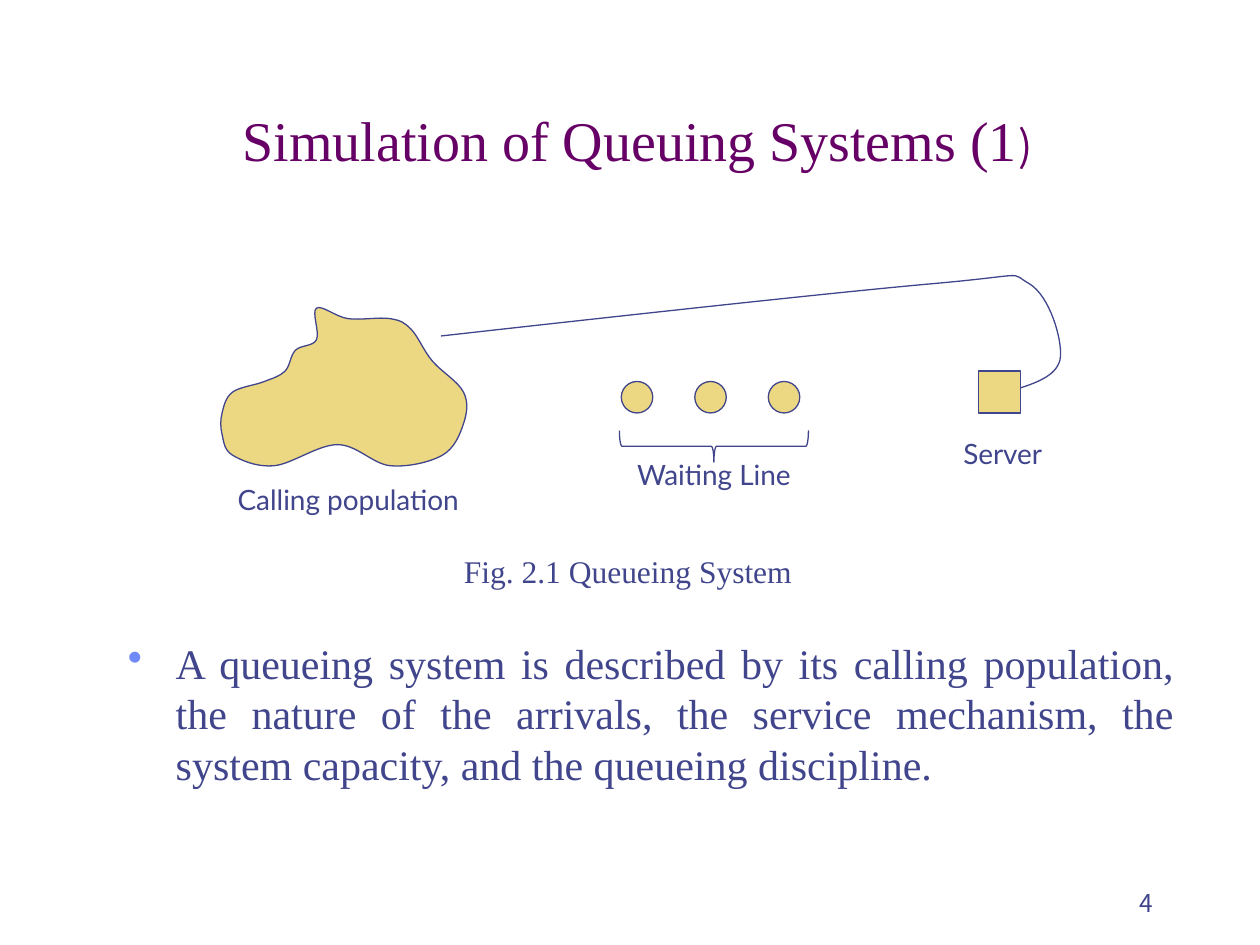
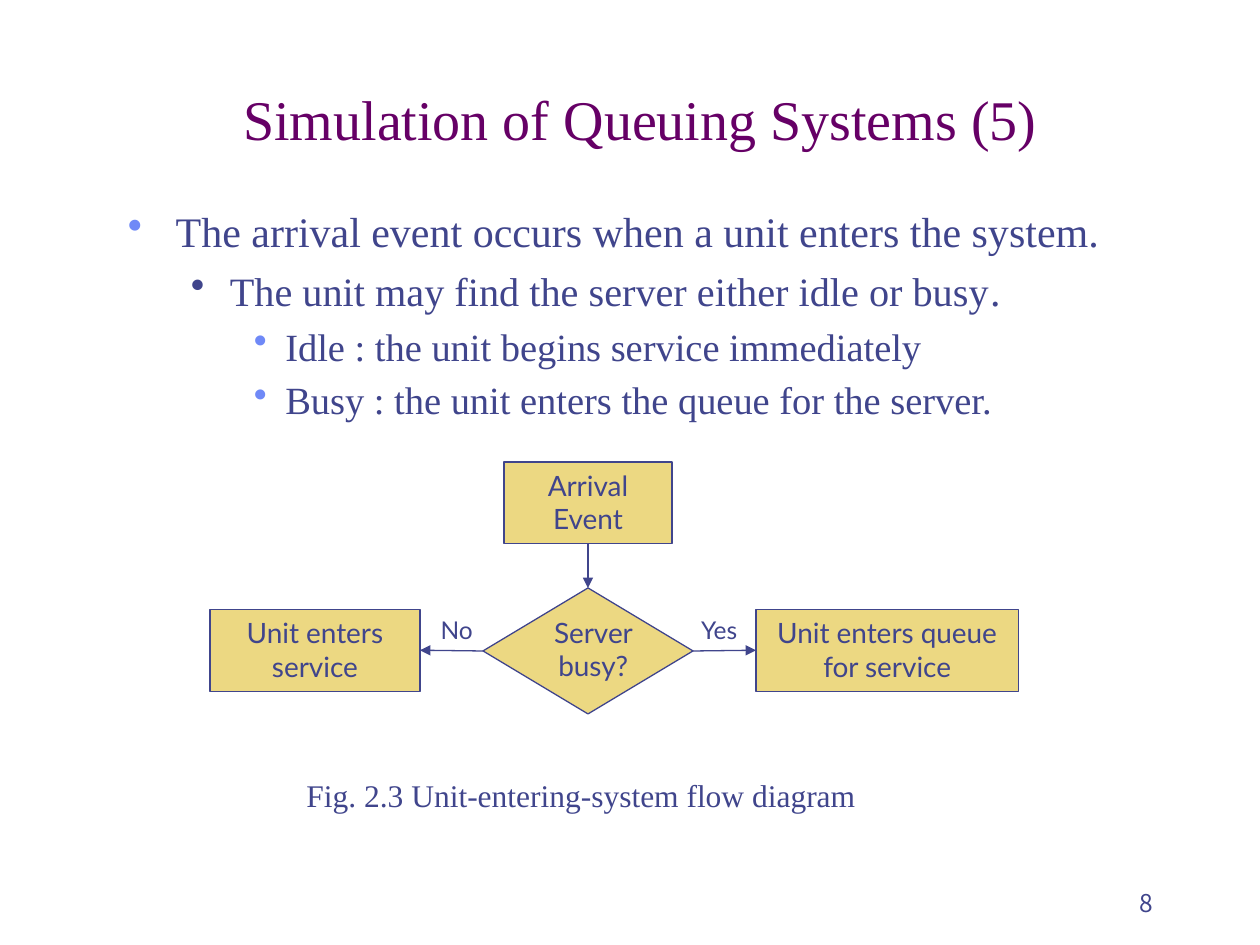
from dataclasses import dataclass
from lxml.etree import SubElement as Sub
from pptx import Presentation
from pptx.dml.color import RGBColor as Rgb
from pptx.enum.shapes import MSO_CONNECTOR as Link, MSO_SHAPE as Form
from pptx.enum.text import MSO_ANCHOR as Anchor, PP_ALIGN as Align
from pptx.oxml.ns import qn
from pptx.util import Inches, Pt


@dataclass(frozen=True)
class Theme:
    ink: str = "40458C"
    sand: str = "ECD882"
    sky: str = "6F89F7"
    line: float = 0.75
    title: tuple = (32, "Times New Roman", "660066")
    tail: tuple = (24, "Noto Sans CJK KR", "660066")
    fig: tuple = (18, "Times New Roman", "40458C")
    label: tuple = (16, "Lato", "40458C")
    small: tuple = (14, "Lato", "40458C")
    page: tuple = (14, "Noto Sans CJK KR", "40458C")
    body: tuple = (
        (24, "Times New Roman", "40458C"),
        (23, "Times New Roman", "40458C"),
        (22, "Times New Roman", "40458C"),
    )


look = Theme()
deck = Presentation()
deck.slide_width, deck.slide_height = Inches(10), Inches(7.5)
unit = deck.slide_width // 120


def paint(shape, fill=True):
    shape.shadow.inherit = False
    if fill:
        shape.fill.solid()
        shape.fill.fore_color.rgb = Rgb.from_string(look.sand)
    else:
        shape.fill.background()
    shape.line.color.rgb = Rgb.from_string(look.ink)
    shape.line.width = Pt(look.line)
    return shape


def put(page, cells, runs=(), form=None, align=Align.CENTER, anchor=Anchor.TOP):
    spot = [round(n * unit) for n in cells]
    if form is None:
        shape = page.shapes.add_textbox(*spot)
    else:
        shape = paint(page.shapes.add_shape(form, *spot))
    frame = shape.text_frame
    frame.word_wrap = True
    frame.vertical_anchor = anchor
    para = frame.paragraphs[0]
    para.alignment = align
    for words, (size, face, tint) in runs:
        run = para.add_run()
        run.text = words
        run.font.size = Pt(size)
        run.font.name = face
        run.font.color.rgb = Rgb.from_string(tint)
    return shape


plans = [
    {
        "title": [("Simulation of Queuing Systems (1", look.title), (")", look.tail)],
        "head": (15.7, 9, 90, 8),
        "body": (11, 60.1, 102, 18.8),
        "align": Align.JUSTIFY,
        "items": [
            (0, [("A queueing system is described by its calling population, "
                  "the nature of the arrivals, the service mechanism, "
                  "the system capacity, and the queueing discipline.", look.body[0])]),
        ],
        "fig": ("Fig. 2.1 Queueing System", (43, 52, 38, 4.8)),
        "page": "4",
    },
    {
        "title": [("Simulation of Queuing Systems (5)", look.title)],
        "head": (16.5, 7.2, 89, 7.8),
        "body": (11, 19, 102, 60),
        "align": Align.LEFT,
        "items": [
            (0, [("The arrival event occurs when a unit enters the system.", look.body[0])]),
            (1, [("The unit may find the server either idle or busy", look.body[1]),
                 (".", look.body[0])]),
            (2, [("Idle : the unit begins service immediately", look.body[2])]),
            (2, [("Busy : the unit enters the queue for the server.", look.body[2])]),
        ],
        "fig": ("Fig. 2.3 Unit-entering-system flow diagram", (28, 73.3, 63, 4.8)),
        "page": "8",
    },
]
levels = [
    (0.38, 0.38, 0, look.sky),
    (0.81, 0.31, 4.8, look.ink),
    (1.25, 0.25, 4.4, look.sky),
]

pages = []
for plan in plans:
    page = deck.slides.add_slide(deck.slide_layouts[6])
    pages.append(page)
    put(page, plan["head"], plan["title"], anchor=Anchor.BOTTOM)
    frame = put(page, plan["body"]).text_frame
    for i, (level, runs) in enumerate(plan["items"]):
        para = frame.add_paragraph() if i else frame.paragraphs[0]
        left, hang, gap, tint = levels[level]
        para.level = level
        para.alignment = plan["align"]
        para.space_before = Pt(gap)
        props = para._p.get_or_add_pPr()
        props.set("marL", str(Inches(left)))
        props.set("indent", str(-Inches(hang)))
        Sub(Sub(props, qn("a:buClr")), qn("a:srgbClr")).set("val", tint)
        Sub(props, qn("a:buChar")).set("char", "•")
        for words, (size, face, color) in runs:
            run = para.add_run()
            run.text = words
            run.font.size = Pt(size)
            run.font.name = face
            run.font.color.rgb = Rgb.from_string(color)
    words, cells = plan["fig"]
    put(page, cells, [(words, look.fig)], align=Align.LEFT)
    put(page, (86, 82, 25, 6), [(plan["page"], look.page)],
        align=Align.RIGHT, anchor=Anchor.BOTTOM)

queue, flow = pages

cloud = [
    (30, 32), (28, 33), (27, 35), (25, 36), (22, 37), (21, 39), (21, 41),
    (22, 43), (26, 44), (32, 42), (37, 44), (42, 43), (44, 40), (44, 37),
    (41, 34), (39, 31), (37, 30), (33, 30), (30, 29),
]
cloud = [(x + 0.15, y + 0.35) for x, y in cloud]
route = [(89.6, 37.6), (97, 37), (101, 34), (98, 27), (89, 27), (42, 32), (-23.8, 39.6)]
for chain, closed in (([cloud[-1], *cloud, *cloud[:2]], True), (route, False)):
    chain = [(x * unit, y * unit) for x, y in chain]
    knots = chain[1:-1]
    draft = queue.shapes.build_freeform(*knots[0], scale=1.0)
    draft.add_line_segments(knots[1:], close=closed)
    curve = paint(draft.convert_to_shape(), fill=closed)
    sides = list(curve._element.iter(qn("a:lnTo")))
    for side, a, b, c, d in zip(sides, chain, chain[1:], chain[2:], chain[3:]):
        side.tag = qn("a:cubicBezTo")
        side.remove(side[0])
        bends = (
            [q + (r - p) / 6 for p, q, r in zip(a, b, c)],
            [r - (s - q) / 6 for q, r, s in zip(b, c, d)],
            c,
        )
        for x, y in bends:
            dot = Sub(side, qn("a:pt"))
            dot.set("x", str(round(x - curve.left)))
            dot.set("y", str(round(y - curve.top)))

for i in range(3):
    put(queue, (59.17 + 7 * i, 36.33, 3, 3), form=Form.OVAL)
put(queue, (93.17, 35.33, 4, 4), form=Form.RECTANGLE)
brace = put(queue, (66.5, 33.5, 3, 18), form=Form.LEFT_BRACE)
brace.fill.background()
brace.rotation = 270
brace.adjustments[0] = 0.083
for words, cells in (
    ("Calling population", (21.17, 45.4, 24, 4.4)),
    ("Waiting Line", (56, 43, 24, 4.4)),
    ("Server", (90, 41, 11, 4.4)),
):
    put(queue, cells, [(words, look.label)])

start, serve, wait = [
    put(flow, cells, [(words, look.label)], Form.RECTANGLE)
    for words, cells in (
        ("Arrival Event", (48, 44, 16, 7.8)),
        ("Unit enters service", (20, 58.03, 20, 7.8)),
        ("Unit enters queue for service", (72, 58.03, 25, 7.8)),
    )
]
test = put(flow, (46, 56, 20, 12), form=Form.FLOWCHART_DECISION)
for words, style, cells in (
    ("Server busy?", look.label, (49, 58, 15, 7.7)),
    ("Yes", look.small, (65, 58, 7, 4)),
    ("No", look.small, (40, 58, 7, 4)),
):
    put(flow, cells, [(words, style)])

for one, side, two, end in ((start, 2, test, 0), (test, 1, serve, 3), (test, 3, wait, 1)):
    arrow = flow.shapes.add_connector(Link.STRAIGHT, 0, 0, 0, 0)
    arrow.begin_connect(one, side)
    arrow.end_connect(two, end)
    arrow.line.color.rgb = Rgb.from_string(look.ink)
    arrow.line.width = Pt(look.line)
    Sub(arrow.line._get_or_add_ln(), qn("a:tailEnd")).set("type", "triangle")
    Sub(arrow._element.spPr, qn("a:effectLst"))

deck.save("out.pptx")
